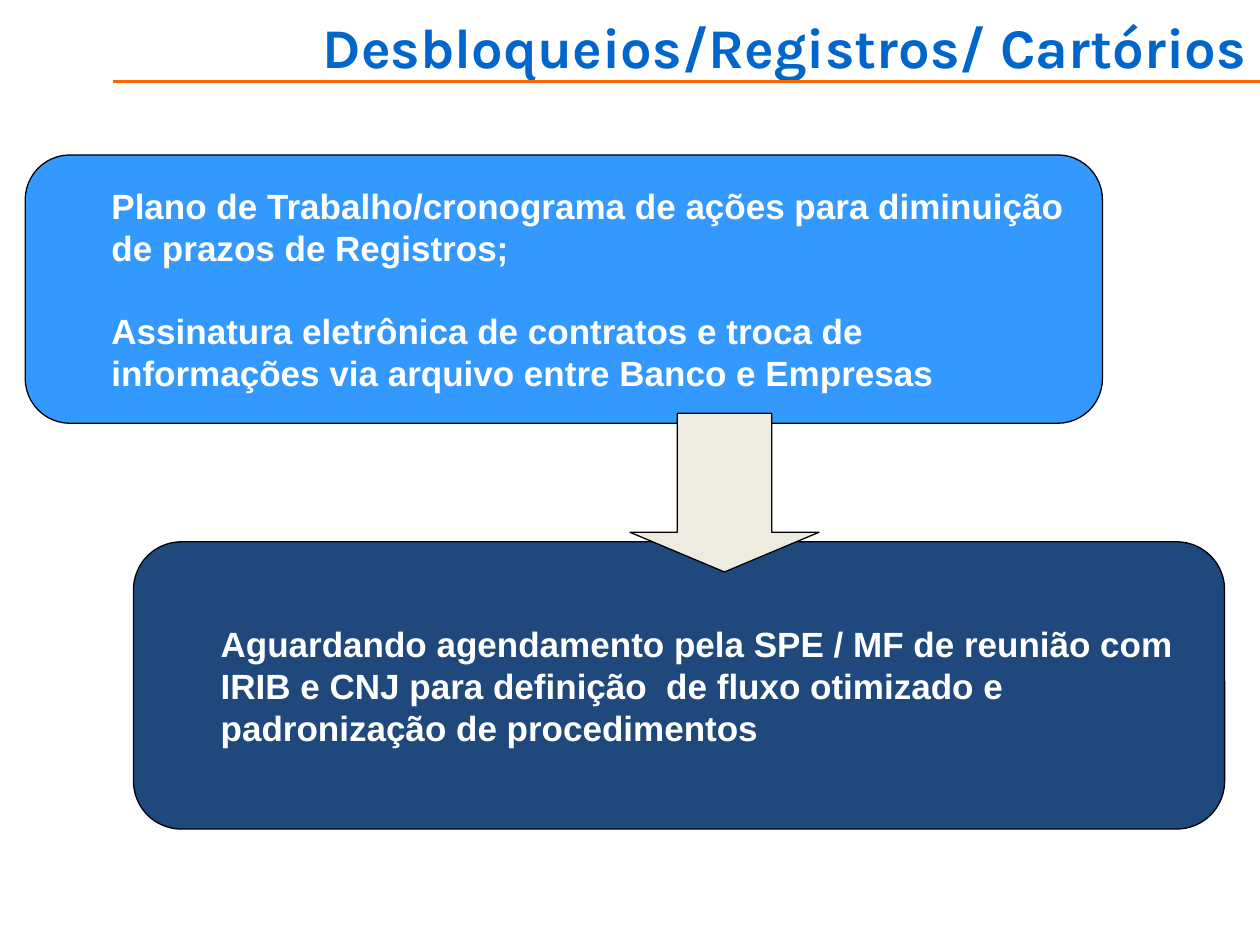
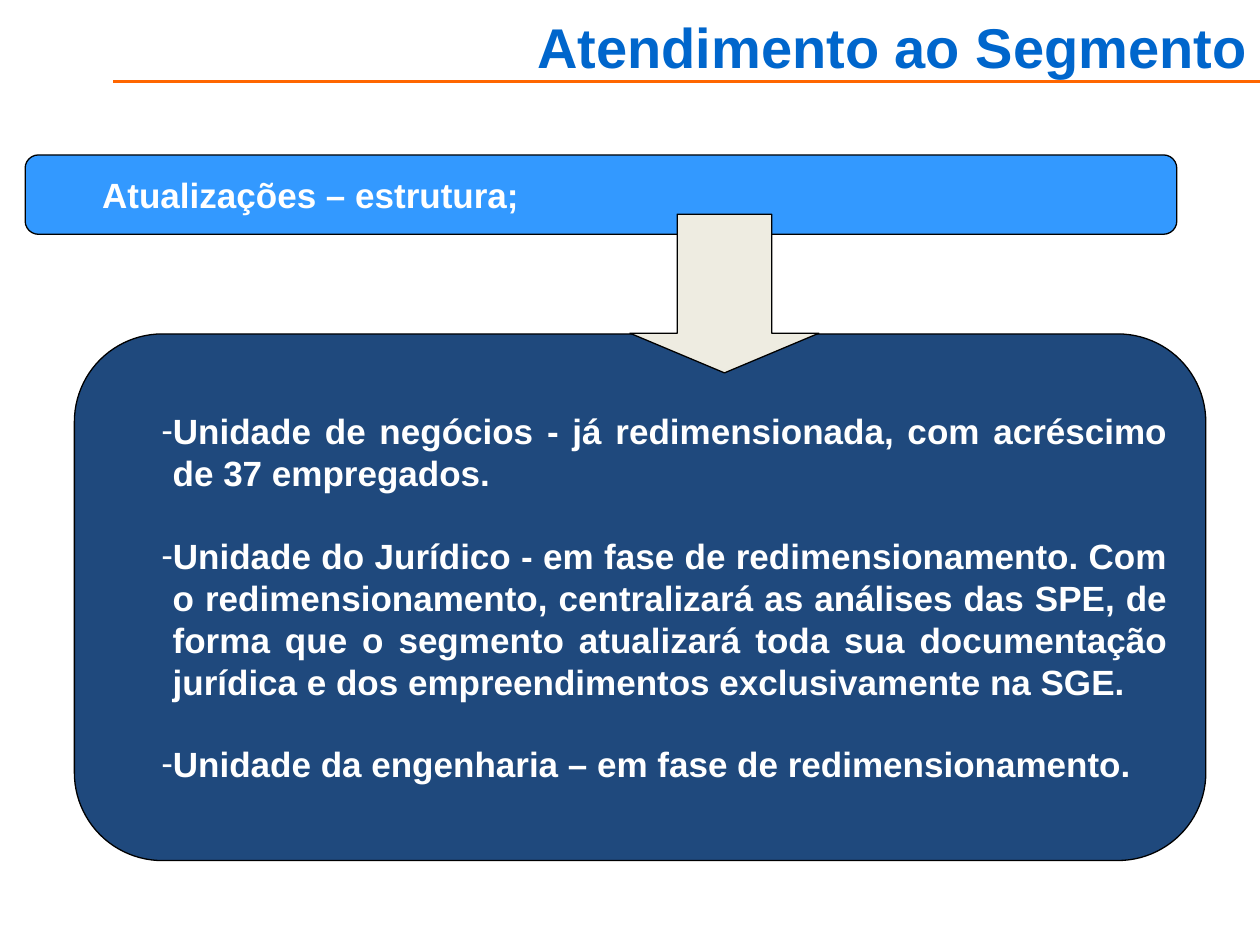
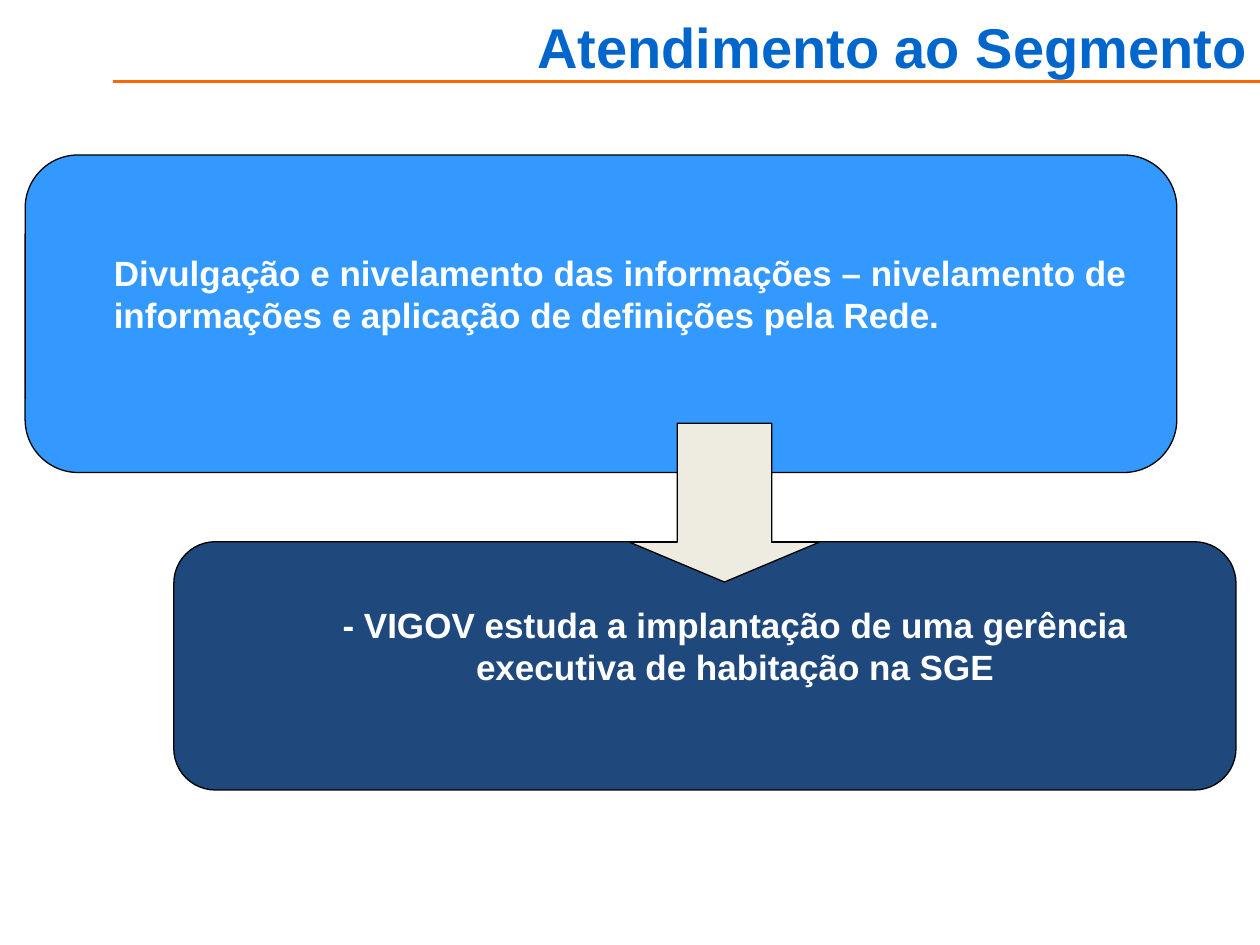
from lxml import etree
from pptx import Presentation
from pptx.dml.color import RGBColor
from pptx.enum.shapes import MSO_CONNECTOR, MSO_SHAPE
from pptx.enum.text import MSO_ANCHOR, MSO_AUTO_SIZE, PP_ALIGN
from pptx.oxml.ns import qn
from pptx.util import Inches, Pt

ROUND, ARROW = MSO_SHAPE.ROUNDED_RECTANGLE, MSO_SHAPE.DOWN_ARROW
LINE = MSO_CONNECTOR.STRAIGHT
TOP, MIDDLE = MSO_ANCHOR.TOP, MSO_ANCHOR.MIDDLE
LEFT, RIGHT = PP_ALIGN.LEFT, PP_ALIGN.RIGHT
CENTER, JUST = PP_ALIGN.CENTER, PP_ALIGN.JUSTIFY
FIXED = MSO_AUTO_SIZE.NONE

COLORS = {
    "title": "0066CC",
    "rule": "FF6600",
    "sky": "3399FF",
    "navy": "1F497D",
    "sand": "EEECE1",
    "edge": "000000",
    "text": "FFFFFF",
}
COLS, ROWS = 100, 75
LIST, PLAIN = 1, 5  # template layouts: title with body, title only
FONT, SIZE = "Arial", 20
GAP = SIZE * 1.15  # one line of text, in points
BLANK = GAP / 72  # the same line in inches
CORNER = 0.167
PAD = (0.49, 0.05, 0.1, 0.05)
DENT = Inches(0.09)


def color(name):
    return RGBColor.from_string(COLORS[name])


class Deck:
    """Holds the shared style and the slide being filled; lengths are grid units."""

    def __init__(self):
        self.prs = Presentation()
        self.prs.slide_width, self.prs.slide_height = Inches(10), Inches(7.5)
        self.slide = None

    def grid(self, left, top, width, height):
        col, row = self.prs.slide_width / COLS, self.prs.slide_height / ROWS
        return [round(v) for v in (left * col, top * row, width * col, height * row)]

    def place(self, shape, box):
        shape.left, shape.top, shape.width, shape.height = self.grid(*box)

    def frame(self, shape, pad, anchor):
        """Set the text margins, in inches, and the anchor."""
        frame = shape.text_frame
        frame.word_wrap, frame.auto_size = True, FIXED
        frame.vertical_anchor = anchor
        (frame.margin_left, frame.margin_top,
         frame.margin_right, frame.margin_bottom) = map(Inches, pad)
        return frame

    def fill(self, frame, lines, align, hang=0):
        """Fill a frame with paragraphs one blank line apart."""
        frame.text = "\n".join(lines)
        for i, para in enumerate(frame.paragraphs):
            para.alignment = align
            para.space_before = Pt(GAP if i else 0)
            props = para._p.get_or_add_pPr()
            props.set("marL", str(DENT))
            props.set("indent", str(-hang))
            if hang:
                etree.SubElement(props, qn("a:buChar"), char="-")
            self.style(para, FONT, SIZE, "text")

    def style(self, para, font, size, name):
        for run in para.runs:
            run.font.name, run.font.size, run.font.bold = font, Pt(size), True
            run.font.color.rgb = color(name)

    def page(self, title, font=FONT, layout=PLAIN):
        self.slide = self.prs.slides.add_slide(self.prs.slide_layouts[layout])
        head = self.slide.shapes.title
        self.place(head, (0, 0, COLS, 6.4))
        frame = self.frame(head, (0.1, 0.1, 0.1, 0.05), TOP)
        frame.text = title
        para = frame.paragraphs[0]
        para.alignment = RIGHT
        self.style(para, font, 32, "title")
        self.rule()

    def rule(self):
        left, y, width, _ = self.grid(9, 6.5, COLS - 9, 0)
        rule = self.slide.shapes.add_connector(LINE, left + width, y, left, y)
        rule.line.color.rgb, rule.line.width = color("rule"), Pt(1.75)
        etree.SubElement(rule._element.spPr, qn("a:effectLst"))

    def form(self, kind, box, fill, *adjust):
        shape = self.slide.shapes.add_shape(kind, *self.grid(*box))
        shape.shadow.inherit = False
        shape.fill.solid()
        shape.fill.fore_color.rgb = color(fill)
        shape.line.color.rgb, shape.line.width = color("edge"), Pt(0.75)
        for i, value in enumerate(adjust):
            shape.adjustments[i] = value
        return shape

    def card(self, box, fill, lines=(), align=LEFT, lift=0):
        """Draw a rounded card; lift adds to the bottom margin, in inches."""
        shape = self.form(ROUND, box, fill, CORNER)
        if lines:
            left, top, right, low = PAD
            frame = self.frame(shape, (left, top, right, low + lift), MIDDLE)
            self.fill(frame, lines, align)

    def items(self, box, fill, lines):
        """Draw a card with a dashed list in the body placeholder over it."""
        self.card(box, fill)
        body = self.slide.placeholders[1]
        body.element.getparent().append(body.element)
        self.place(body, box)
        left, top, right, low = PAD
        inset = 0.2  # keeps the text clear of the rounded corners
        frame = self.frame(body, (left + inset, top, right + inset, low), MIDDLE)
        self.fill(frame, lines, JUST, hang=DENT)

    def arrow(self, top):
        self.form(ARROW, (50, top, 15, 12.6), "sand", 0.5, 0.25)


def main():
    deck = Deck()

    deck.page("Desbloqueios/Registros/ Cartórios", font="Karla")
    deck.card((2, 12.3, 85.5, 21.3), "sky", [
        "Plano de Trabalho/cronograma de ações para diminuição de prazos de Registros;",
        "Assinatura eletrônica de contratos e troca de informações via arquivo "
        "entre Banco e Empresas",
    ])
    deck.card((10.6, 43, 86.6, 22.8), "navy", [
        "Aguardando agendamento pela SPE / MF de reunião com IRIB e CNJ para "
        "definição  de fluxo otimizado e padronização de procedimentos",
    ])
    deck.arrow(32.8)

    deck.page("Atendimento ao Segmento", layout=LIST)
    deck.card((2, 12.3, 91.4, 6.3), "sky", ["Atualizações – estrutura;"])
    deck.items((5.9, 26.5, 89.8, 41.8), "navy", [
        "Unidade de negócios - já redimensionada, com acréscimo de 37 empregados.",
        "Unidade do Jurídico - em fase de redimensionamento. Com o "
        "redimensionamento, centralizará as análises das SPE, de forma que o "
        "segmento atualizará toda sua documentação jurídica e dos "
        "empreendimentos exclusivamente na SGE.",
        "Unidade da engenharia – em fase de redimensionamento.",
    ])
    deck.arrow(17)

    deck.page("Atendimento ao Segmento")
    deck.card((2, 12.3, 91.4, 25.2), "sky", [
        "Divulgação e nivelamento das informações – nivelamento de informações "
        "e aplicação de definições pela Rede.",
    ], lift=BLANK)
    deck.card((13.8, 43, 84.3, 19.7), "navy", [
        "- VIGOV estuda a implantação de uma gerência executiva de habitação na SGE",
    ], CENTER, BLANK)
    deck.arrow(33.6)

    deck.prs.save("out.pptx")


if __name__ == "__main__":
    main()
